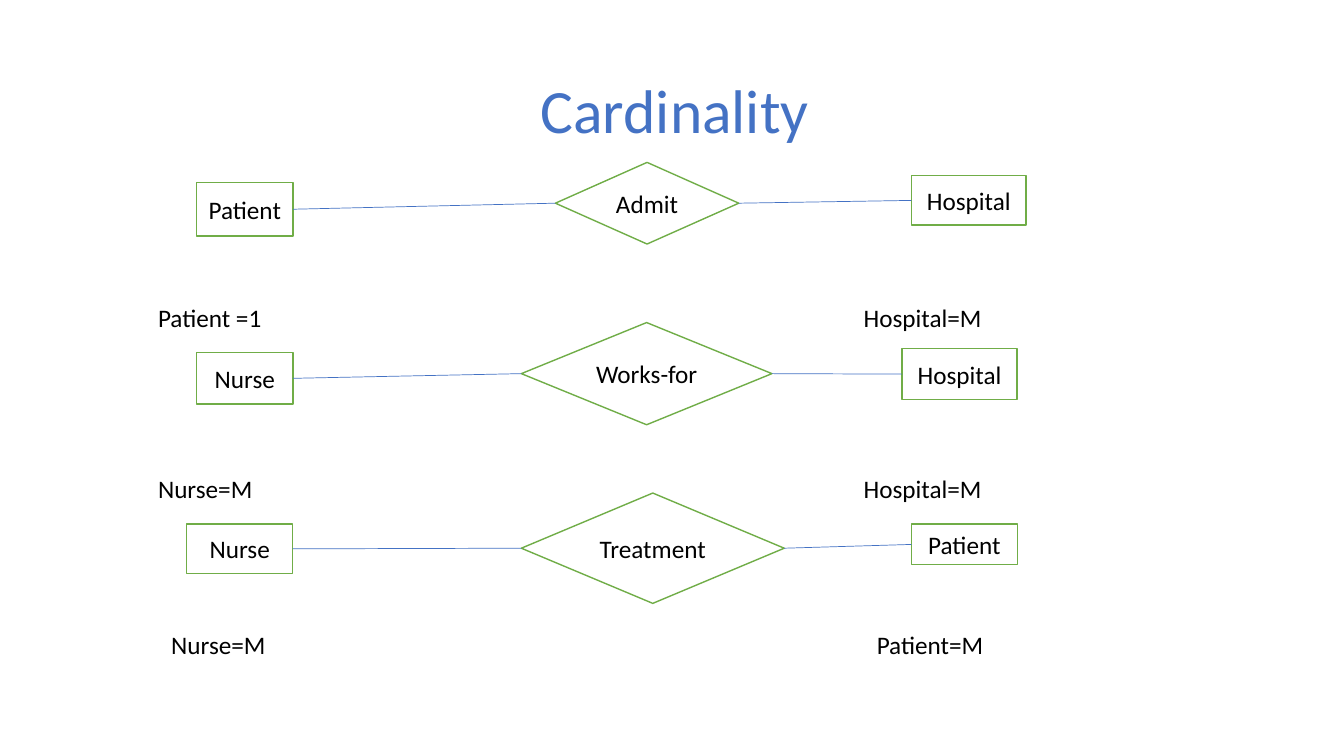
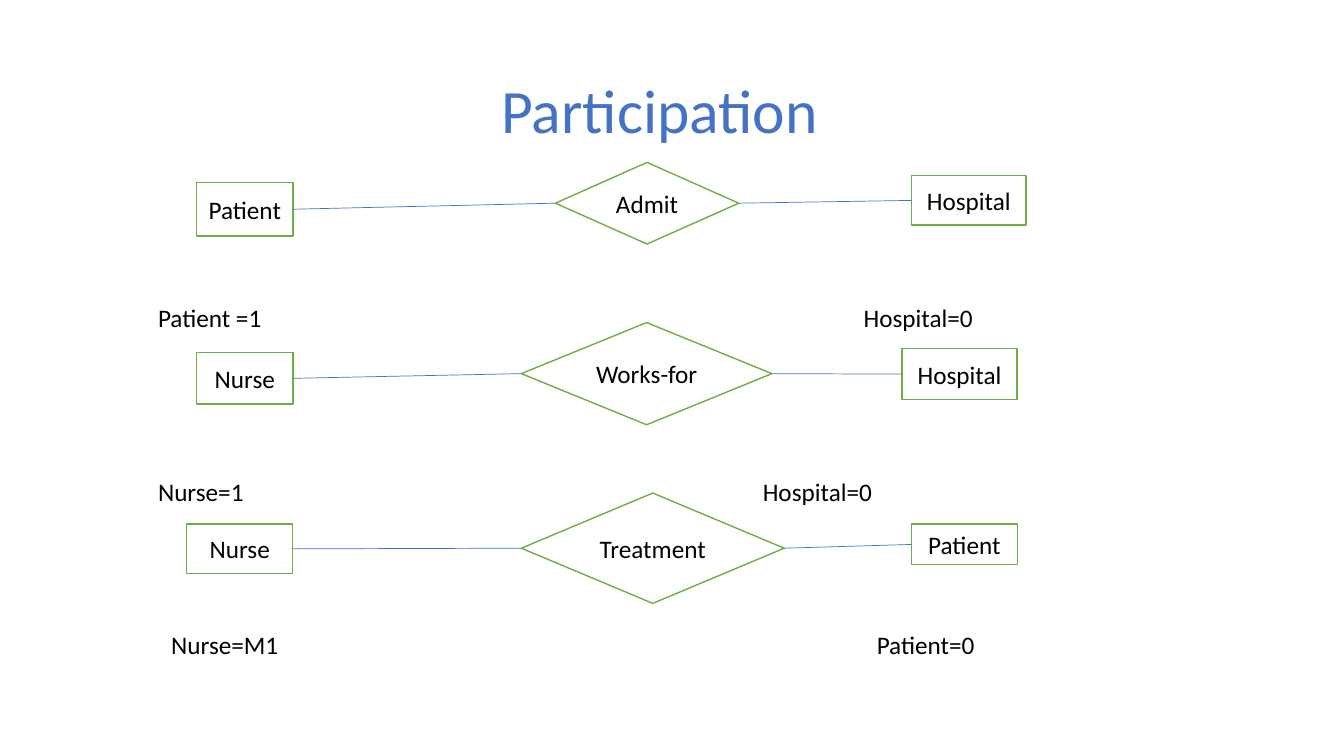
from lxml.etree import SubElement
from pptx import Presentation
from pptx.dml.color import RGBColor as Rgb
from pptx.enum.shapes import MSO_CONNECTOR as Conn, MSO_SHAPE as Kind
from pptx.enum.text import MSO_ANCHOR as Anchor, PP_ALIGN as Align
from pptx.oxml.ns import qn
from pptx.util import Pt

FONT = "Calibri"
COLORS = {"title": "4472C4", "link": "4472C4", "edge": "70AD47",
          "fill": "FFFFFF", "text": "000000"}
LEFT, RIGHT = 1, 3  # connection sites of rectangles and diamonds

# Each row: entity, relation, entity, as (text, left, top, width, height)
ROWS = [
    (("Patient", 140.4, 130.2, 69, 38.5),
     ("Admit", 396.7, 116, 131, 58.3),
     ("Hospital", 651, 125.4, 82, 35.5)),
    (("Nurse", 140.4, 252, 69, 36.5),
     ("Works-for", 372.4, 230.4, 179, 73),
     ("Hospital", 644.4, 249, 82, 36.5)),
    (("Nurse", 133.4, 374.4, 75.7, 35.3),
     ("Treatment", 372.4, 352.2, 187.8, 78.8),
     ("Patient", 651, 374.4, 75.7, 29)),
]

# Each slide: title, its left and width, notes as (left, top, tab, texts)
SLIDES = [
    ("Cardinality", 69.8, 824.4, [
        (105.8, 212.4, 504, ("Patient =1", "Hospital=M")),
        (105.8, 334.4, 504, ("Nurse=M", "Hospital=M")),
        (115.2, 445.7, 504, ("Nurse=M", "Patient=M"))]),
    ("Participation", 66.2, 810, [
        (105.8, 212.4, 504, ("Patient =1", "Hospital=0")),
        (105.8, 336.4, 432, ("Nurse=1", "Hospital=0")),
        (115.2, 445.7, 504, ("Nurse=M1", "Patient=0"))]),
]


def color(name):
    return Rgb.from_string(COLORS[name])


def write(shape, text, size=18, ink="text", align=Align.LEFT,
          anchor=Anchor.TOP, space=None, tab=None):
    frame = shape.text_frame
    frame.word_wrap = True
    frame.vertical_anchor = anchor
    para = frame.paragraphs[0]
    para.alignment = align
    if space:
        para.line_spacing = space
    if tab:
        stops = SubElement(para._p.get_or_add_pPr(), qn("a:tabLst"))
        SubElement(stops, qn("a:tab"), pos=str(Pt(tab)), algn="l")
    run = para.add_run()
    run.text = text
    run.font.name = FONT
    run.font.size = Pt(size)
    run.font.color.rgb = color(ink)


def label(slide, text, x, y, w, h, **style):
    write(slide.shapes.add_textbox(Pt(x), Pt(y), Pt(w), Pt(h)), text, **style)


def node(slide, kind, text, x, y, w, h):
    shape = slide.shapes.add_shape(kind, Pt(x), Pt(y), Pt(w), Pt(h))
    shape.shadow.inherit = False
    shape.fill.solid()
    shape.fill.fore_color.rgb = color("fill")
    shape.line.color.rgb = color("edge")
    shape.line.width = Pt(1)
    write(shape, text, align=Align.CENTER, anchor=Anchor.MIDDLE)
    return shape


def link(slide, start, end):
    """Join the right corner of start to the left corner of end."""
    line = slide.shapes.add_connector(Conn.STRAIGHT, 0, 0, 0, 0)
    line.begin_connect(start, RIGHT)
    line.end_connect(end, LEFT)
    line.line.color.rgb = color("link")
    line.line.width = Pt(0.5)
    SubElement(line._element.spPr, qn("a:effectLst"))


def relate(slide, row):
    kinds = (Kind.RECTANGLE, Kind.DIAMOND, Kind.RECTANGLE)
    first, verb, last = [node(slide, kind, *part)
                         for kind, part in zip(kinds, row)]
    link(slide, first, verb)
    link(slide, verb, last)


def main():
    deck = Presentation()
    deck.slide_width, deck.slide_height = Pt(960), Pt(540)
    for title, x, width, notes in SLIDES:
        slide = deck.slides.add_slide(deck.slide_layouts[6])
        label(slide, title, x, 28.8, width, 104.4, size=44, ink="title",
              align=Align.CENTER, anchor=Anchor.MIDDLE, space=0.9)
        for row in ROWS:
            relate(slide, row)
        for left, top, tab, texts in notes:
            label(slide, "\t".join(texts), left, top, 660, 29, tab=tab)
    deck.save("out.pptx")


if __name__ == "__main__":
    main()
